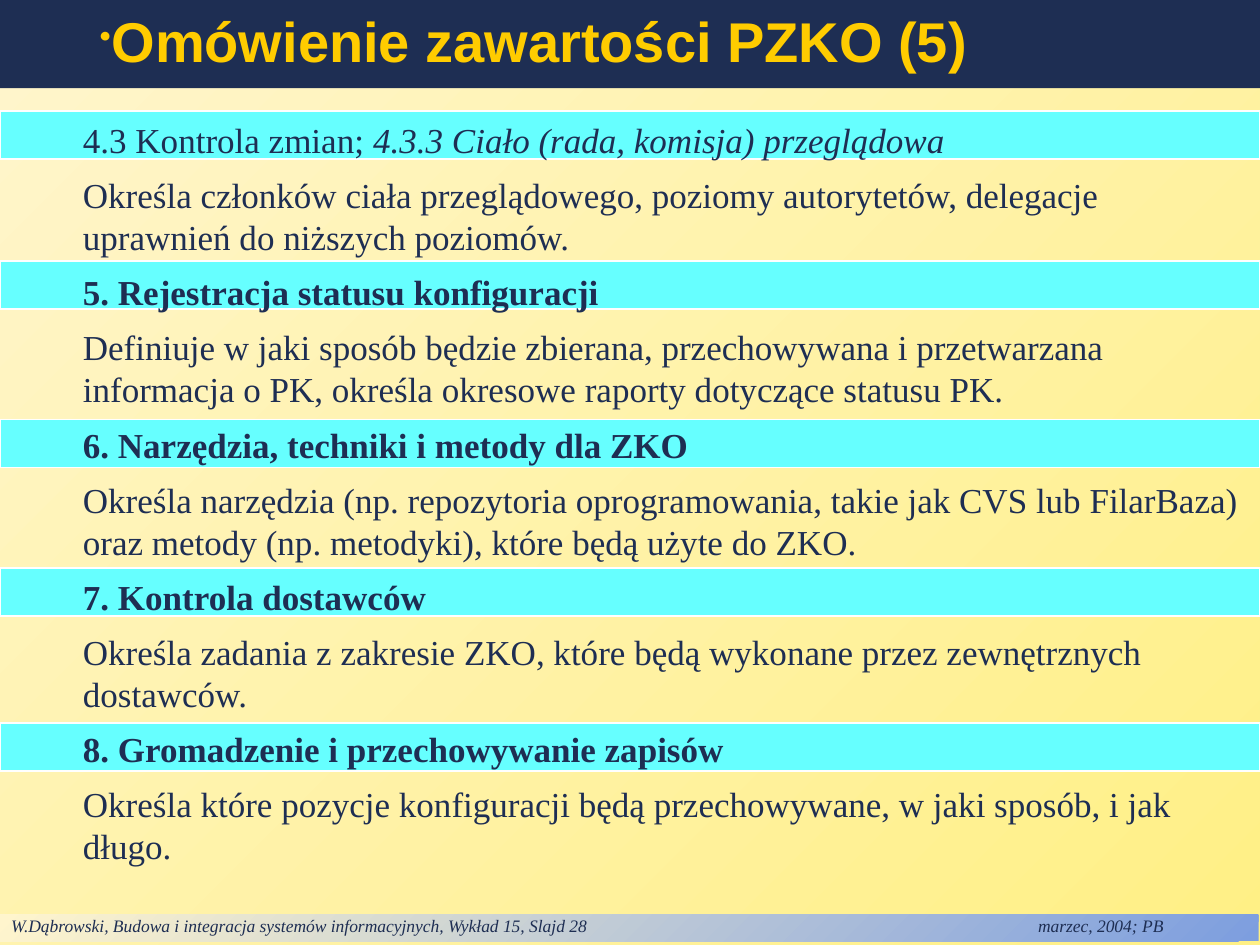
from dataclasses import dataclass

from lxml import etree
from pptx import Presentation
from pptx.dml.color import RGBColor
from pptx.enum.shapes import MSO_SHAPE
from pptx.enum.text import MSO_ANCHOR, PP_ALIGN
from pptx.oxml.ns import qn
from pptx.util import Emu, Inches, Pt

RECT = MSO_SHAPE.RECTANGLE
TOP, MIDDLE = MSO_ANCHOR.TOP, MSO_ANCHOR.MIDDLE
LEFT = PP_ALIGN.LEFT
TITLE_ONLY = 5


@dataclass(frozen=True)
class Theme:
    navy: str = "1E2E53"
    gold: str = "FFCC00"
    cyan: str = "66FFFF"
    white: str = "FFFFFF"
    cream: str = "FFF5CD"
    lemon: str = "FFF085"
    blue: str = "7D9EDF"
    heading: str = "Arial"
    body: str = "Times New Roman"
    title_size: int = 32
    body_size: int = 20
    footer_size: int = 10


T = Theme()
WIDTH, HEIGHT = 10, 7.5
BAND_TOPS = (0.88, 2.07, 3.33, 4.51, 5.74)
BAND_HEIGHT = 0.38
TITLE = "Omówienie zawartości PZKO (5)"
FOOTER = ("W.Dąbrowski, Budowa i integracja systemów informacyjnych, "
          "Wykład 15, Slajd 28\tmarzec, 2004; PB")
# Each section: heading runs as (text, style), then its description.
SECTIONS = [
    ([("4.3 Kontrola zmian; ", {}),
      ("4.3.3 Ciało (rada, komisja) przeglądowa", {"italic": True})],
     "Określa członków ciała przeglądowego, poziomy autorytetów, delegacje "
     "uprawnień do niższych poziomów."),
    ([("5. Rejestracja statusu konfiguracji", {"bold": True})],
     "Definiuje w jaki sposób będzie zbierana, przechowywana i przetwarzana "
     "informacja o PK, określa okresowe raporty dotyczące statusu PK."),
    ([("6. Narzędzia, techniki i metody dla ZKO", {"bold": True})],
     "Określa narzędzia (np. repozytoria oprogramowania, takie jak CVS lub "
     "FilarBaza) oraz metody (np. metodyki), które będą użyte do ZKO."),
    ([("7. Kontrola dostawców", {"bold": True})],
     "Określa zadania z zakresie ZKO, które będą wykonane przez zewnętrznych "
     "dostawców."),
    ([("8. Gromadzenie i przechowywanie zapisów", {"bold": True})],
     "Określa które pozycje konfiguracji będą przechowywane, w jaki sposób, "
     "i jak długo."),
]


def apply(obj, **values):
    for name, value in values.items():
        setattr(obj, name, value)


def add_run(p, text, size, color, **style):
    r = p.add_run()
    r.text = text
    apply(r.font, size=Pt(size), **{"name": T.body, **style})
    r.font.color.rgb = RGBColor.from_string(color)


def set_frame(tf, anchor, top=0.05, bottom=0.05):
    apply(tf, word_wrap=True, vertical_anchor=anchor,
          margin_left=Inches(0.1), margin_right=Inches(0.1),
          margin_top=Inches(top), margin_bottom=Inches(bottom))


def set_solid(fill, color):
    fill.solid()
    fill.fore_color.rgb = RGBColor.from_string(color)


def set_gradient(fill, start, end):
    fill.gradient()
    # python-pptx counts counter-clockwise, so 135 is stored as 225
    fill.gradient_angle = 135
    for stop, position, color in zip(fill.gradient_stops, (0, 1), (start, end)):
        stop.position = position
        stop.color.rgb = RGBColor.from_string(color)


def add_rect(s, box):
    sp = s.shapes.add_shape(RECT, *map(Inches, box))
    sp.shadow.inherit = False
    return sp


def add_footer(s, box):
    sp = add_rect(s, box)
    set_gradient(sp.fill, T.blue, T.cream)
    sp.line.fill.background()
    set_frame(sp.text_frame, TOP, 0, 0.04)
    p = sp.text_frame.paragraphs[0]
    p.alignment = LEFT
    tabs = etree.SubElement(p._p.get_or_add_pPr(), qn("a:tabLst"))
    etree.SubElement(tabs, qn("a:tab"), pos=str(Inches(8.15)), algn="l")
    add_run(p, FOOTER, T.footer_size, T.navy, italic=True)


def add_band(s, box):
    sp = add_rect(s, box)
    set_solid(sp.fill, T.cyan)
    set_solid(sp.line.fill, T.white)
    sp.line.width = Pt(1)


def place_title(s, box):
    sp = s.shapes.title
    apply(sp, **dict(zip(("left", "top", "width", "height"), map(Inches, box))))
    set_solid(sp.fill, T.navy)
    set_frame(sp.text_frame, MIDDLE)
    p = sp.text_frame.paragraphs[0]
    apply(p, alignment=LEFT, line_spacing=0.9)
    pPr = p._p.get_or_add_pPr()
    pPr.set("marL", str(Inches(0.29)))
    pPr.set("indent", str(Inches(0.4)))
    color = etree.SubElement(pPr, qn("a:buClr"))
    etree.SubElement(color, qn("a:srgbClr"), val=T.gold)
    etree.SubElement(pPr, qn("a:buSzPct"), val="60000")
    etree.SubElement(pPr, qn("a:buChar"), char="•")
    add_run(p, TITLE, T.title_size, T.gold, name=T.heading, bold=True)


def add_sections(s, box):
    tf = s.shapes.add_textbox(*map(Inches, box)).text_frame
    set_frame(tf, TOP)
    paragraphs = [runs for heading, text in SECTIONS
                  for runs in (heading, [(text, {})])]
    for i, runs in enumerate(paragraphs):
        p = tf.add_paragraph() if i else tf.paragraphs[0]
        apply(p, alignment=LEFT, space_after=Pt(7.5))
        for text, style in runs:
            add_run(p, text, T.body_size, T.navy, **style)


def build_slide(prs):
    s = prs.slides.add_slide(prs.slide_layouts[TITLE_ONLY])
    set_gradient(s.background.fill, T.lemon, T.cream)
    add_footer(s, (-0.01, 7.26, WIDTH, 0.21))
    for top in BAND_TOPS:
        add_band(s, (0, top, WIDTH, BAND_HEIGHT))
    place_title(s, (0, 0, WIDTH, 0.7))
    add_sections(s, (0.56, 0.89, WIDTH - 0.56, 6.04))


def main():
    prs = Presentation()
    apply(prs, slide_width=Emu(Inches(WIDTH)), slide_height=Emu(Inches(HEIGHT)))
    build_slide(prs)
    prs.save("out.pptx")


if __name__ == "__main__":
    main()
